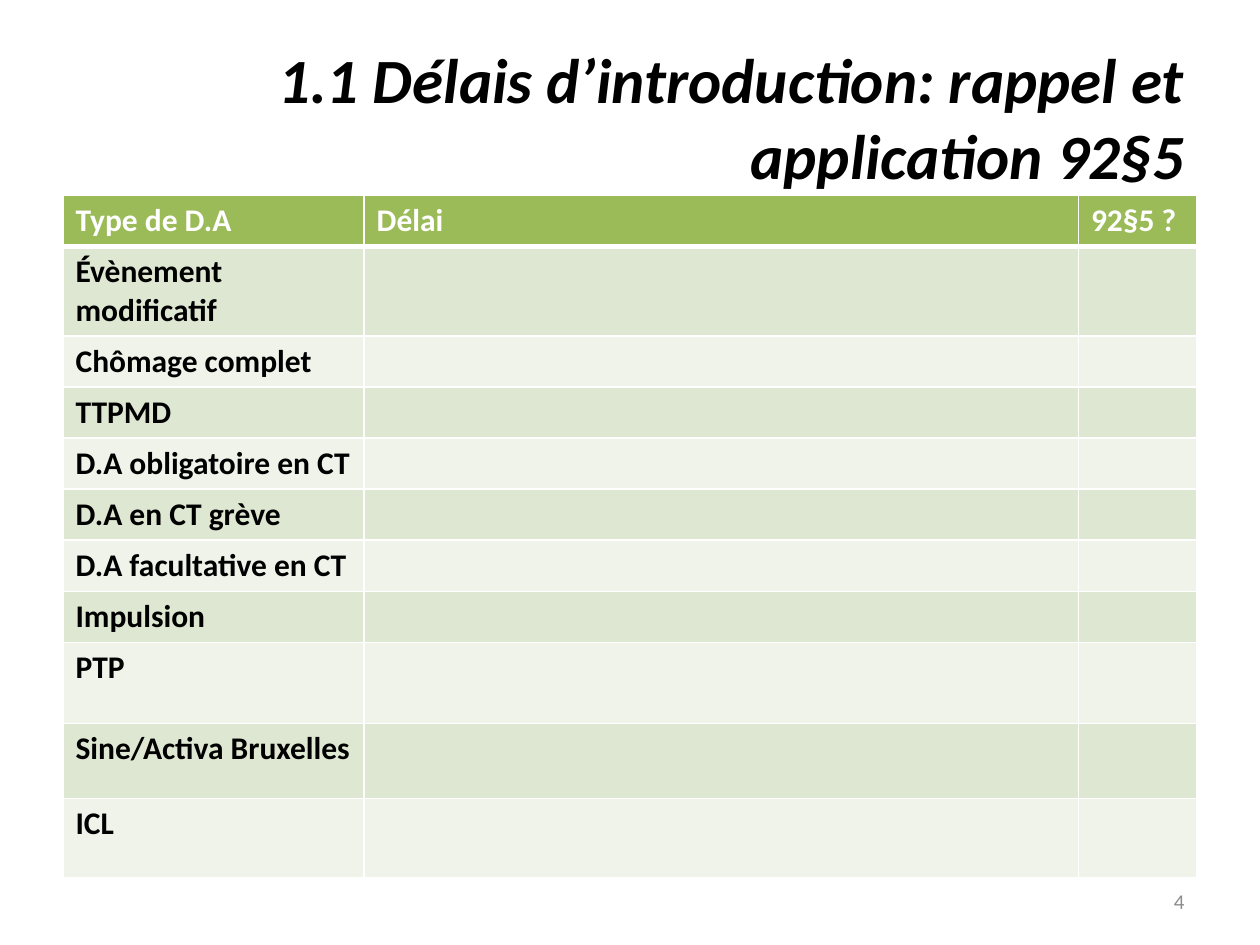
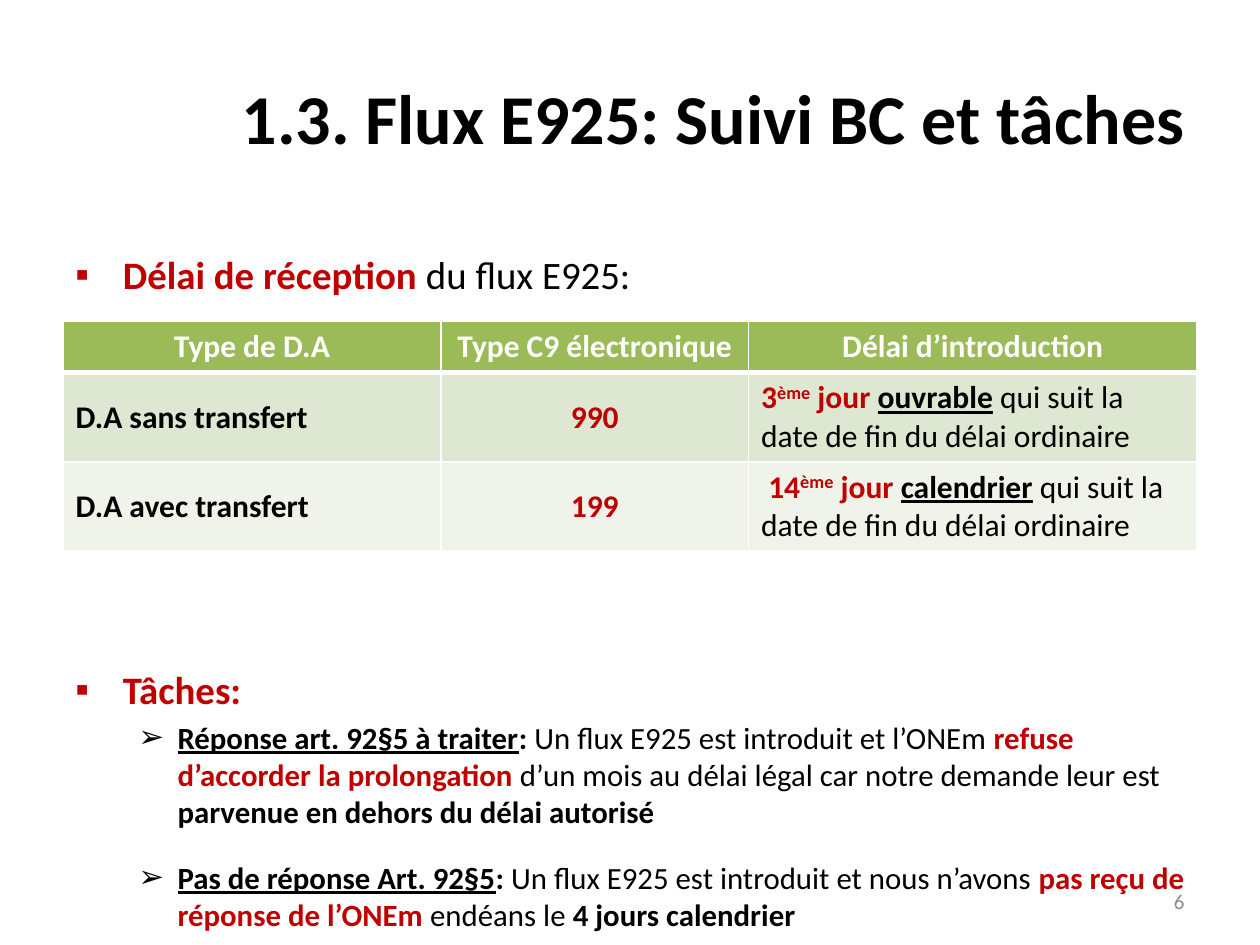
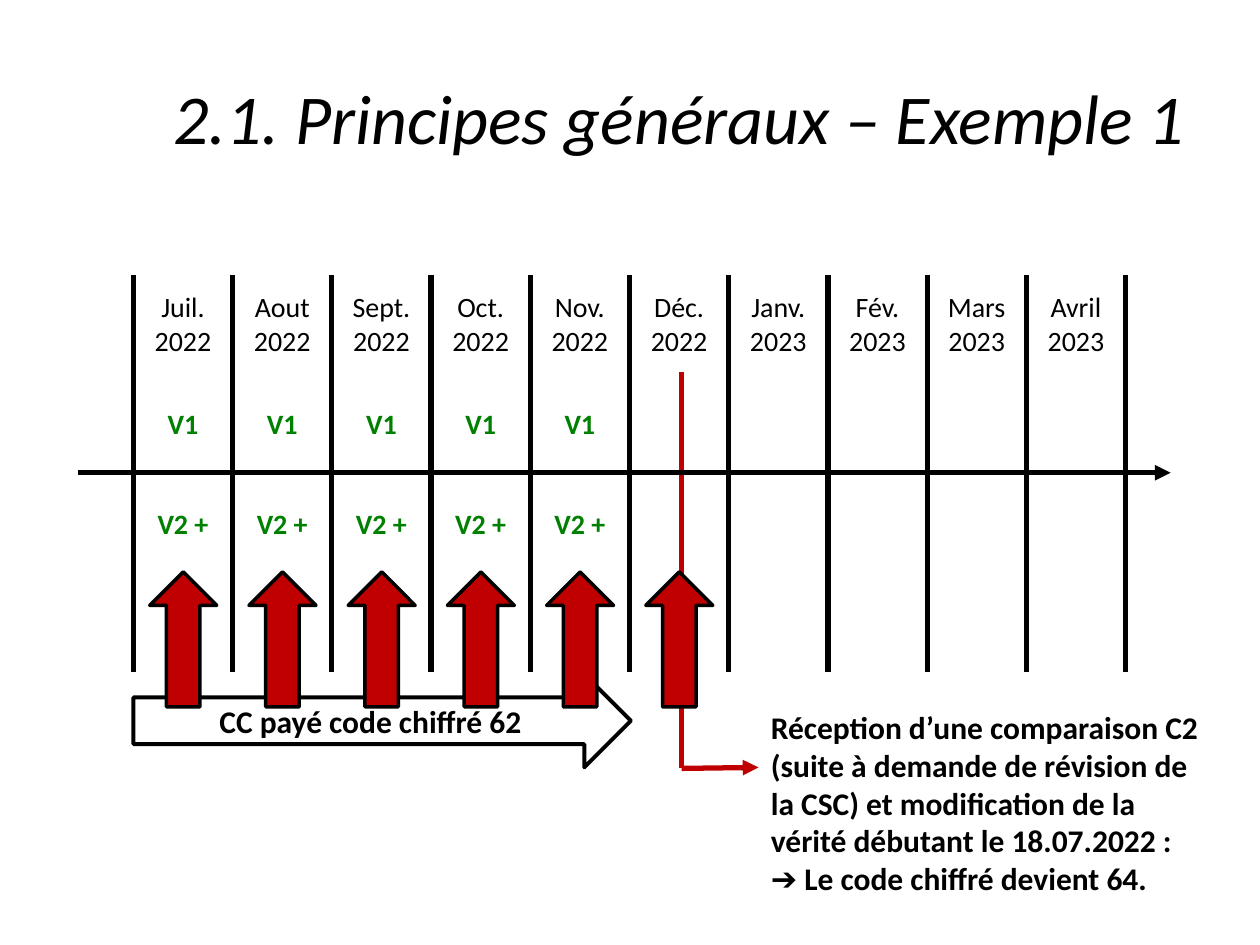
from lxml import etree
from pptx import Presentation
from pptx.dml.color import RGBColor
from pptx.enum.shapes import MSO_CONNECTOR, MSO_SHAPE
from pptx.enum.text import MSO_ANCHOR, PP_ALIGN
from pptx.oxml.ns import qn
from pptx.util import Cm, Pt

# Shared look
FONT = "Calibri"
BLACK = RGBColor(0x00, 0x00, 0x00)
WHITE = RGBColor(0xFF, 0xFF, 0xFF)
RED = RGBColor(0xC0, 0x00, 0x00)
GREEN = RGBColor(0x00, 0x80, 0x00)
GREY = RGBColor(0x8C, 0x8C, 0x8C)
HEADER = RGBColor(0x9B, 0xBB, 0x59)
BANDS = [RGBColor(0xDE, 0xE7, 0xD1), RGBColor(0xEF, 0xF3, 0xEA)]
MARGIN, WIDTH = 1.27, 22.86
LEFT, CENTER, RIGHT = PP_ALIGN.LEFT, PP_ALIGN.CENTER, PP_ALIGN.RIGHT

# Run formats
PLAIN = {}
BOLD = {"bold": True}
BOLD_RED = {"bold": True, "color": RED}
BOLD_LINE = {"bold": True, "underline": True}
BOLD_GREEN = {"bold": True, "color": GREEN}
BOLD_WHITE = {"bold": True, "color": WHITE}
SUPER_RED = {**BOLD_RED, "baseline": 30000}

# Bullets: character, left margin (cm), hanging indent (cm)
SQUARE = ("▪", 0.96, 0.96)
ARROW = ("➢", 2.06, 0.79)


def add_run(p, text, size, fmt):
    r = p.add_run()
    r.text = text
    values = {"name": FONT, "size": Pt(size), "color": BLACK, **fmt}
    r.font.color.rgb = values.pop("color")
    if "baseline" in values:
        r._r.get_or_add_rPr().set("baseline", str(values.pop("baseline")))
    for name, value in values.items():
        setattr(r.font, name, value)


def add_bullet(p, bullet):
    char, left, hanging = bullet
    pPr = p._p.get_or_add_pPr()
    pPr.set("marL", str(Cm(left)))
    pPr.set("indent", str(-Cm(hanging)))
    etree.SubElement(pPr, qn("a:buFont")).set("typeface", "Arial")
    etree.SubElement(pPr, qn("a:buChar")).set("char", char)


def fill_text(tf, paragraphs, size, align=LEFT):
    """Write paragraphs, each a list of (text, format) runs."""
    for i, runs in enumerate(paragraphs):
        p = tf.paragraphs[0] if i == 0 else tf.add_paragraph()
        p.alignment = align
        for text, fmt in runs:
            add_run(p, text, size, fmt)


def add_text(s, box, paragraphs, size, align=LEFT, anchor=MSO_ANCHOR.MIDDLE):
    tf = s.shapes.add_textbox(*map(Cm, box)).text_frame
    tf.word_wrap = True
    tf.vertical_anchor = anchor
    fill_text(tf, paragraphs, size, align)
    return tf


def add_title(s, text, size, **fmt):
    add_text(s, (MARGIN, 0.76, WIDTH, 3.18), [[(text, fmt)]], size, RIGHT)


def add_number(s, number):
    add_text(s, (18.21, 17.65, 5.92, 1.02), [[(number, {"color": GREY})]],
             12, RIGHT)


def add_line(s, x1, y1, x2, y2, color=BLACK, arrow=False):
    ln = s.shapes.add_connector(MSO_CONNECTOR.STRAIGHT,
                                *map(Cm, (x1, y1, x2, y2)))
    ln.line.color.rgb = color
    ln.line.width = Pt(3)
    etree.SubElement(ln._element.spPr, qn("a:effectLst"))
    if arrow:
        tail = etree.SubElement(ln.line._get_or_add_ln(), qn("a:tailEnd"))
        tail.set("type", "triangle")


def add_arrow(s, kind, box, weight, fill=None):
    sp = s.shapes.add_shape(kind, *map(Cm, box))
    sp.shadow.inherit = False
    if fill is None:
        sp.fill.background()
    else:
        sp.fill.solid()
        sp.fill.fore_color.rgb = fill
    sp.line.color.rgb = BLACK
    sp.line.width = Pt(weight)
    return sp


def set_borders(cell, top=1, bottom=1):
    tcPr = cell._tc.get_or_add_tcPr()
    for tag, weight in (("lnL", 1), ("lnR", 1), ("lnT", top), ("lnB", bottom)):
        ln = etree.SubElement(tcPr, qn(f"a:{tag}"), w=str(Pt(weight)))
        solid = etree.SubElement(ln, qn("a:solidFill"))
        etree.SubElement(solid, qn("a:srgbClr"), val=str(WHITE))


def add_grid(s, top, widths, heights, rows, aligns, head_align):
    """Table with a green header and banded rows; a cell is a list of runs."""
    frame = s.shapes.add_table(len(rows), len(widths), Cm(MARGIN), Cm(top),
                               Cm(sum(widths)), Cm(sum(heights)))
    table = frame.table
    for col, width in zip(table.columns, widths):
        col.width = Cm(width)
    for i, (row, height) in enumerate(zip(rows, heights)):
        table.rows[i].height = Cm(height)
        for j, runs in enumerate(row):
            cell = table.cell(i, j)
            set_borders(cell, top=3 if i == 1 else 1, bottom=3 if i == 0 else 1)
            cell.fill.solid()
            cell.fill.fore_color.rgb = BANDS[(i - 1) % 2] if i else HEADER
            if i and head_align == CENTER:
                cell.vertical_anchor = MSO_ANCHOR.MIDDLE
            fill_text(cell.text_frame, [runs], 18, aligns[j] if i else head_align)


def header_row(*labels):
    return [[(label, BOLD_WHITE)] for label in labels]


def deadlines_slide(s):
    add_title(s, "1.1 Délais d’introduction: rappel et application 92§5", 36,
              bold=True, italic=True)
    types = ["Évènement modificatif", "Chômage complet", "TTPMD",
             "D.A obligatoire en CT", "D.A en CT grève",
             "D.A facultative en CT", "Impulsion", "PTP",
             "Sine/Activa Bruxelles", "ICL"]
    rows = [header_row("Type de D.A", "Délai", "92§5 ?")]
    rows += [[[(name, BOLD)], [], []] for name in types]
    heights = [1.03, 1.8] + [1.03] * 6 + [1.63, 1.52, 1.6]
    add_grid(s, 3.94, [6.07, 14.4, 2.39], heights, rows, [LEFT] * 3, LEFT)
    add_number(s, "4")


def flow_slide(s):
    add_title(s, "1.3. Flux E925: Suivi BC et tâches", 40, bold=True)

    # Reception deadline
    tf = add_text(s, (MARGIN, 4.93, WIDTH, 1.2),
                  [[("Délai de réception ", BOLD_RED), ("du flux E925:", PLAIN)]],
                  22.2, anchor=MSO_ANCHOR.TOP)
    add_bullet(tf.paragraphs[0], SQUARE)

    # Tasks
    tf = add_text(s, (MARGIN, 13.3, WIDTH, 5.6), [[("Tâches:", BOLD_RED)]],
                  22.2, anchor=MSO_ANCHOR.TOP)
    add_bullet(tf.paragraphs[0], SQUARE)
    tasks = [
        (3.5, [("Réponse art. 92§5 à traiter", BOLD_LINE), (": ", BOLD),
               ("Un flux E925 est introduit et l’ONEm ", PLAIN),
               ("refuse d’accorder la prolongation", BOLD_RED),
               (" d’un mois au délai légal car notre demande leur est ", PLAIN),
               ("parvenue en dehors du délai autorisé", BOLD)]),
        (16.5, [("Pas de réponse Art. 92§5", BOLD_LINE), (": ", BOLD),
                ("Un flux E925 est introduit et nous n’avons ", PLAIN),
                ("pas reçu de réponse de l’ONEm ", BOLD_RED),
                ("endéans le ", PLAIN), ("4 jours calendrier", BOLD)]),
    ]
    for gap, runs in tasks:
        p = tf.add_paragraph()
        p.space_before = Pt(gap)
        add_bullet(p, ARROW)
        for text, fmt in runs:
            add_run(p, text, 17.6, fmt)
    add_number(s, "6")

    # Deadline by type of request
    ending = "qui suit la date de fin du délai ordinaire"
    rows = [
        header_row("Type de D.A", "Type C9 électronique", "Délai d’introduction"),
        [[("D.A sans transfert", BOLD)], [("990", BOLD_RED)],
         [("3", BOLD_RED), ("ème", SUPER_RED), (" jour ", BOLD_RED),
          ("ouvrable", BOLD_LINE), (" " + ending, PLAIN)]],
        [[("D.A avec transfert", BOLD)], [("199", BOLD_RED)],
         [(" ", PLAIN), ("14", BOLD_RED), ("ème", SUPER_RED),
          (" jour ", BOLD_RED), ("calendrier", BOLD_LINE),
          (" " + ending, PLAIN)]],
    ]
    add_grid(s, 6.48, [7.62, 6.2, 9.04], [1.03, 1.8, 1.8], rows,
             [LEFT, CENTER, LEFT], CENTER)


def example_slide(s):
    months = ["Juil. 2022", "Aout 2022", "Sept. 2022", "Oct. 2022",
              "Nov. 2022", "Déc. 2022", "Janv. 2023", "Fév. 2023",
              "Mars 2023", "Avril 2023"]
    left, step, paid = 2.69, 2, 5
    event_x = 13.74

    # Event marker, title and time axis
    add_line(s, event_x, 7.49, event_x, 15.49, RED)
    add_title(s, "2.1. Principes généraux – Exemple 1", 40, italic=True)
    add_line(s, 1.57, 9.53, 23.6, 9.53, arrow=True)

    # Month grid
    for i in range(len(months) + 1):
        x = left + i * step
        add_line(s, x, 5.54, x, 13.54)
    for i, month in enumerate(months):
        x = left + i * step
        add_text(s, (x, 5.52, step, 2), [[(part, PLAIN)] for part in month.split()],
                 16, CENTER)
        if i < paid:
            for label, top in (("V1", 7.54), ("V2 +", 9.55)):
                add_text(s, (x, top, step, 2), [[(label, BOLD_GREEN)]], 16, CENTER)

    # Paid period
    sp = add_arrow(s, MSO_SHAPE.RIGHT_ARROW, (left, 13.59, 10.03, 1.88), 2.25)
    sp.text_frame.vertical_anchor = MSO_ANCHOR.MIDDLE
    fill_text(sp.text_frame, [[("CC payé code chiffré 62", BOLD)]], 18, CENTER)

    # Event explanation
    add_line(s, event_x, 15.49, 15.29, 15.47, RED, arrow=True)
    add_text(s, (15.29, 14.25, 9.35, 3.86),
             [[("Réception d’une comparaison C2 (suite à demande de révision de "
                "la CSC) et modification de la vérité débutant le 18.07.2022 :",
                BOLD)],
              [("➔ Le code chiffré devient 64.", BOLD)]], 18)

    # Red arrows under the paid months and the event month
    for i in range(paid + 1):
        x = left + (i + 0.5) * step - 0.67
        add_arrow(s, MSO_SHAPE.UP_ARROW, (x, 11.53, 1.35, 2.72), 2, RED)


def main():
    prs = Presentation()
    prs.slide_width, prs.slide_height = Cm(25.4), Cm(19.05)
    for build in (deadlines_slide, flow_slide, example_slide):
        build(prs.slides.add_slide(prs.slide_layouts[6]))
    prs.save("out.pptx")


if __name__ == "__main__":
    main()
